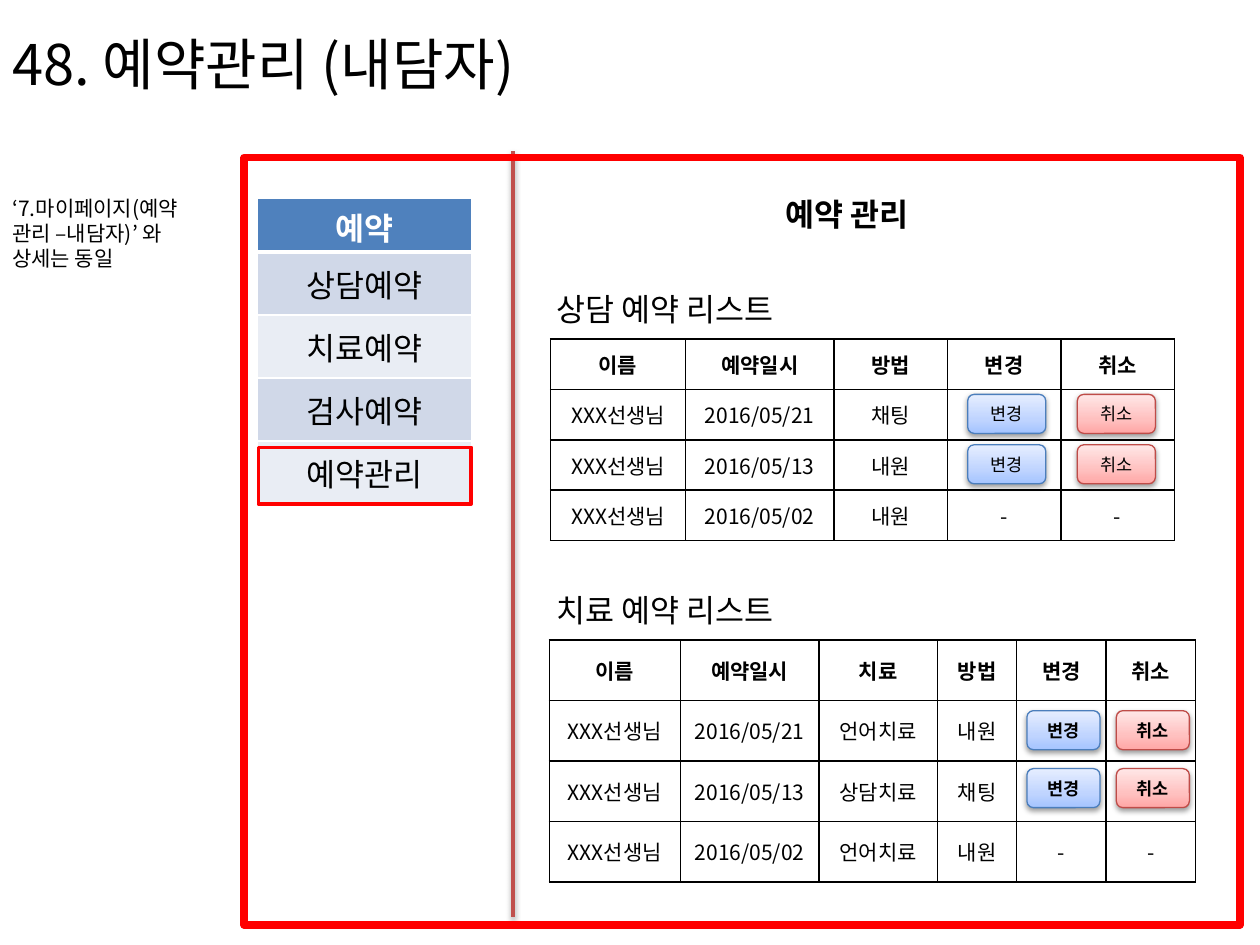
from copy import deepcopy

from lxml import etree
from pptx import Presentation
from pptx.dml.color import RGBColor
from pptx.enum.shapes import MSO_CONNECTOR, MSO_SHAPE
from pptx.enum.text import MSO_ANCHOR, PP_ALIGN
from pptx.oxml.ns import qn
from pptx.util import Inches, Pt

RECT, ROUNDED = MSO_SHAPE.RECTANGLE, MSO_SHAPE.ROUNDED_RECTANGLE
STRAIGHT = MSO_CONNECTOR.STRAIGHT
TOP, MIDDLE = MSO_ANCHOR.TOP, MSO_ANCHOR.MIDDLE
LEFT, CENTER = PP_ALIGN.LEFT, PP_ALIGN.CENTER

COLORS = {
    "black": "000000", "white": "FFFFFF", "red": "FF0000", "divider": "C0504D",
    "header": "4F81BD", "band_dark": "D0D8E8", "band_light": "E9EDF4",
    "change": "4B7EBC", "cancel": "BF4C48",
}
GRADIENTS = {
    "change": ("A4C4FF", "BFD4FF", "E6EEFF"),
    "cancel": ("FFA6A5", "FFC0BF", "FFE7E7"),
}
LABELS = {"change": "변경", "cancel": "취소"}


def rgb(name):
    return RGBColor.from_string(COLORS[name])


class SlideBuilder:
    font = "Noto Sans CJK KR"

    def __init__(self, slide):
        self.slide = slide

    def set_text(self, tf, text, size, color="black", bold=False, align=LEFT, font=None):
        p = tf.paragraphs[0]
        p.text = text
        p.alignment = align
        for r in p.runs:
            r.font.name = font or self.font
            r.font.size = Pt(size)
            r.font.bold = bold
            r.font.color.rgb = rgb(color)
            ea = etree.SubElement(r.font._element, qn("a:ea"))
            ea.set("typeface", self.font)
        if not text:
            etree.SubElement(p._p, qn("a:endParaRPr")).set("sz", str(size * 100))

    def text(self, box, text, size, bold=False, align=LEFT, anchor=TOP,
             wrap=True, insets=(0.1, 0.05, 0.1, 0.05)):
        tf = self.slide.shapes.add_textbox(*map(Inches, box)).text_frame
        tf.word_wrap = wrap
        tf.vertical_anchor = anchor
        tf.margin_left, tf.margin_top, tf.margin_right, tf.margin_bottom = map(Inches, insets)
        self.set_text(tf, text, size, bold=bold, align=align)

    def drop_shadow(self, effects):
        shadow = etree.SubElement(effects, qn("a:outerShdw"), blurRad="40000",
                                  dist="20000", dir="5400000", rotWithShape="0")
        color = etree.SubElement(shadow, qn("a:srgbClr"), val=COLORS["black"])
        etree.SubElement(color, qn("a:alpha"), val="38000")

    def divider(self, x, top, bottom):
        line = self.slide.shapes.add_connector(STRAIGHT, *map(Inches, (x, top, x, bottom)))
        line.line.color.rgb = rgb("divider")
        line.line.width = Pt(2)
        self.drop_shadow(etree.SubElement(line._element.spPr, qn("a:effectLst")))

    def frame(self, box, width):
        sp = self.slide.shapes.add_shape(RECT, *map(Inches, box))
        sp.shadow.inherit = False
        sp.fill.background()
        sp.line.color.rgb = rgb("red")
        sp.line.width = Pt(width)

    def button(self, box, kind, bold):
        sp = self.slide.shapes.add_shape(ROUNDED, *map(Inches, box))
        sp.line.color.rgb = rgb(kind)
        sp.line.width = Pt(0.75)
        sp.fill.gradient()
        sp.fill.gradient_angle = 90
        stops = sp._element.spPr.find(".//" + qn("a:gsLst"))
        stops.append(deepcopy(stops[-1]))
        for stop, position, color in zip(sp.fill.gradient_stops, (0, 0.35, 1), GRADIENTS[kind]):
            stop.position = position
            stop.color.rgb = RGBColor.from_string(color)
        sp.shadow.inherit = False
        self.drop_shadow(sp._element.spPr.find(qn("a:effectLst")))
        sp.text_frame.vertical_anchor = MIDDLE
        self.set_text(sp.text_frame, LABELS[kind], 10, bold=bold, align=CENTER, font="Arial")

    def borders(self, cell, color, widths):
        tcPr = cell._tc.get_or_add_tcPr()
        for i, (side, width) in enumerate(zip("LRTB", widths)):
            ln = etree.Element(qn("a:ln" + side), w=str(Pt(width)))
            fill = etree.SubElement(ln, qn("a:solidFill"))
            etree.SubElement(fill, qn("a:srgbClr"), val=COLORS[color])
            tcPr.insert(i, ln)

    def table(self, left, top, cols, heights, rows, size, line="black",
              header_color="black", fills=None, header_rule=1):
        box = map(Inches, (left, top, sum(cols), sum(heights)))
        table = self.slide.shapes.add_table(len(rows), len(cols), *box).table
        table.first_row = table.horz_banding = False
        for col, width in zip(table.columns, cols):
            col.width = Inches(width)
        for i, values in enumerate(rows):
            table.rows[i].height = Inches(heights[i])
            for j, value in enumerate(values):
                cell = table.cell(i, j)
                cell.vertical_anchor = MIDDLE
                if fills:
                    cell.fill.solid()
                    cell.fill.fore_color.rgb = rgb(fills[i])
                else:
                    cell.fill.background()
                rule_above = header_rule if i == 1 else 1
                rule_below = header_rule if i == 0 else 1
                self.borders(cell, line, (1, 1, rule_above, rule_below))
                color = header_color if i == 0 else "black"
                self.set_text(cell.text_frame, value, size, color, i == 0, CENTER)


def main():
    prs = Presentation()
    prs.slide_width, prs.slide_height = Inches(10), Inches(7.5)
    s = SlideBuilder(prs.slides.add_slide(prs.slide_layouts[6]))

    s.text((6.09, 1.5, 1.27, 0.4), "예약 관리", 18, bold=True, align=CENTER, wrap=False)
    s.divider(4.07, 1.2, 7.28)

    name, dates = "XXX선생님", ("2016/05/21", "2016/05/13", "2016/05/02")
    actions = (("", ""), ("", ""), ("-", "-"))
    counselling = [("이름", "예약일시", "방법", "변경", "취소")]
    for date, method, action in zip(dates, ("채팅", "내원", "내원"), actions):
        counselling.append((name, date, method, *action))
    therapy = [("이름", "예약일시", "치료", "방법", "변경", "취소")]
    kinds, methods = ("언어치료", "상담치료", "언어치료"), ("내원", "채팅", "내원")
    for date, kind, method, action in zip(dates, kinds, methods, actions):
        therapy.append((name, date, kind, method, *action))

    s.table(4.37, 2.69, (1.07, 1.18, 0.9, 0.9, 0.9), (0.4,) * 4, counselling, 12)
    s.table(4.36, 5.08, (1.04, 1.1, 0.94, 0.63, 0.71, 0.71), (0.48,) * 4, therapy, 12)
    for top, title in ((2.2, "상담 예약 리스트"), (4.59, "치료 예약 리스트")):
        s.text((4.32, top, 2.51, 0.4), title, 18, insets=(0.1,) * 4)

    button_groups = (
        ({"change": 7.68, "cancel": 8.55}, (3.13, 3.53), 0.62, False),
        ({"change": 8.15, "cancel": 8.86}, (5.64, 6.1), 0.58, True),
    )
    for lefts, tops, width, bold in button_groups:
        for kind, left in lefts.items():
            for top in tops:
                s.button((left, top, width, 0.31), kind, bold)

    s.frame((1.94, 1.25, 7.9, 6.09), 4.5)
    menu = ("예약", "상담예약", "치료예약", "검사예약", "예약관리")
    s.table(2.04, 1.57, (1.7,), (0.43,) + (0.5,) * 4, [(item,) for item in menu], 18,
            line="white", header_color="white", header_rule=3,
            fills=("header",) + ("band_dark", "band_light") * 2)
    s.frame((2.05, 3.55, 1.69, 0.45), 2)

    s.text((0, 0, 10, 1), "48. 예약관리 (내담자)", 32, anchor=MIDDLE)
    s.text((0, 1.5, 1.61, 0.71), "‘7.마이페이지(예약 관리 –내담자)’ 와 상세는 동일", 12,
           insets=(0.1, 0.05, 0, 0.05))
    prs.save("out.pptx")


if __name__ == "__main__":
    main()
